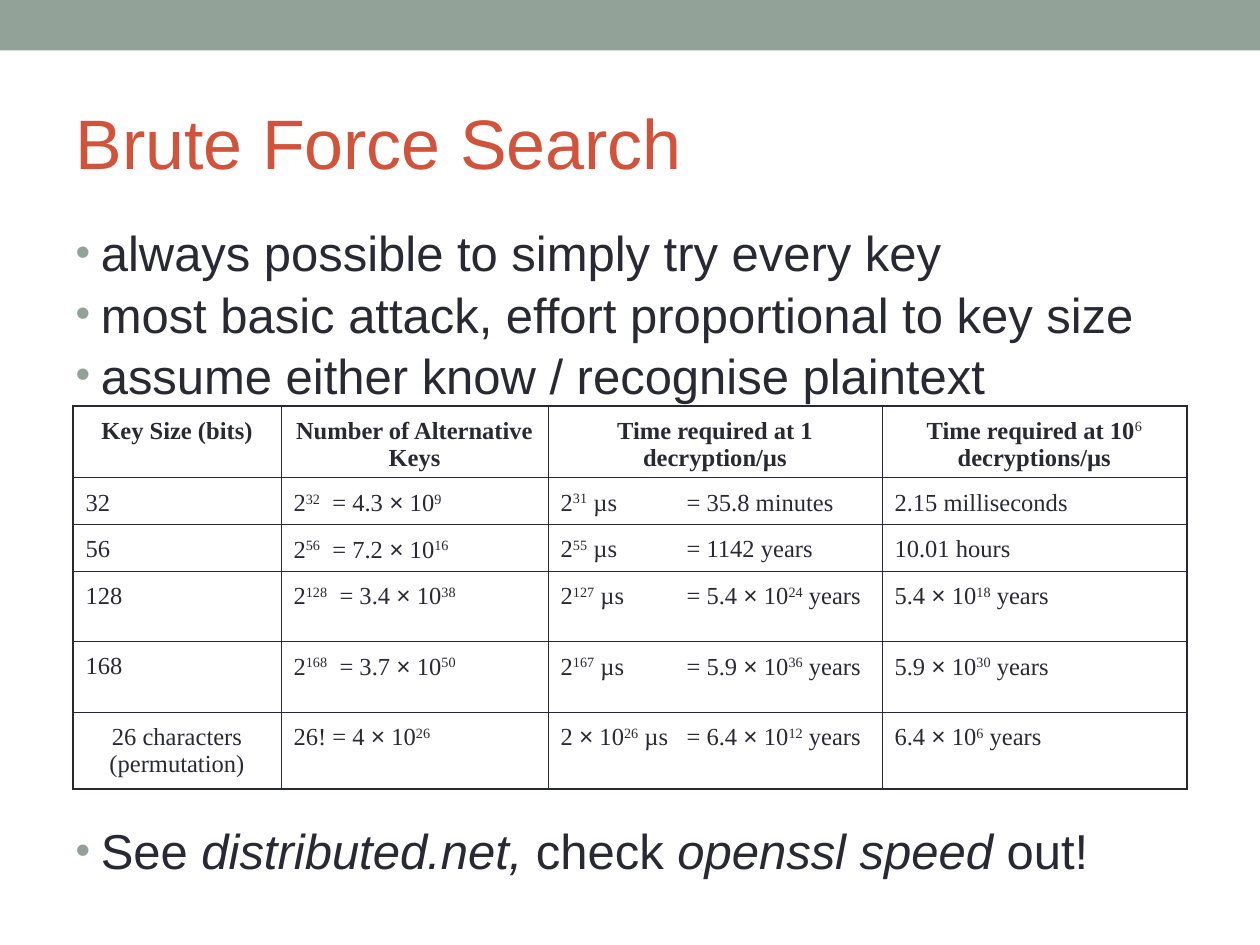
from dataclasses import dataclass
from itertools import groupby

from lxml.etree import SubElement
from pptx import Presentation
from pptx.dml.color import RGBColor
from pptx.enum.shapes import MSO_SHAPE
from pptx.enum.text import MSO_ANCHOR, MSO_AUTO_SIZE, PP_ALIGN
from pptx.oxml.ns import qn
from pptx.util import Inches, Pt

# The slide is a grid of 100 columns by 75 rows
COLUMNS, ROWS = 100, 75
SLIDE_WIDTH, SLIDE_HEIGHT = Inches(10), Inches(7.5)
SAGE, RUST, INK = "93A299", "D2533C", "292934"
SANS, SERIF = "Arial", "Times New Roman"
THIN, THICK = 0.45, 1.08


@dataclass(frozen=True)
class Area:
    column: float
    row: float
    columns: float
    rows: float

    def box(self) -> tuple:
        return (across(self.column), down(self.row),
                across(self.columns), down(self.rows))


@dataclass(frozen=True)
class Bullet:
    text: str  # *marks* italics
    space_before: float = 8


BAR = Area(0, 0, 100, 4)
TITLE = Area(5, 5.8, 90, 10.8)
BODY = Area(5, 17.8, 90, 53.8)
TABLE = Area(5.8, 32.2, 88.4, 30.4)

BULLETS = [
    Bullet("always possible to simply try every key", 0),
    Bullet("most basic attack, effort proportional to key size"),
    Bullet("assume either know / recognise plaintext"),
    Bullet("See *distributed.net, *check *openssl speed *out!", 245),
]

# ^marks^ superscripts
COLUMN_WIDTHS = [16.5, 21.2, 26.5, 24.2]
ROW_HEIGHTS = [5.7, 3.7, 3.7, 5.6, 5.6, 6.1]
CELLS = [
    ["Key Size (bits)", "Number of Alternative Keys",
     "Time required at 1 decryption/µs", "Time required at 10^6^ decryptions/µs"],
    ["32", "2^32^  = 4.3 × 10^9^", "2^31^ µs\t= 35.8 minutes", "2.15 milliseconds"],
    ["56", "2^56^  = 7.2 × 10^16^", "2^55^ µs\t= 1142 years", "10.01 hours"],
    ["128", "2^128^  = 3.4 × 10^38^", "2^127^ µs\t= 5.4 × 10^24^ years",
     "5.4 × 10^18^ years"],
    ["168", "2^168^  = 3.7 × 10^50^", "2^167^ µs\t= 5.9 × 10^36^ years",
     "5.9 × 10^30^ years"],
    ["26 characters (permutation)", "26! = 4 × 10^26^",
     "2 × 10^26^ µs\t= 6.4 × 10^12^ years", "6.4 × 10^6^ years"],
]


def across(columns: float) -> int:
    return round(SLIDE_WIDTH * columns / COLUMNS)


def down(rows: float) -> int:
    return round(SLIDE_HEIGHT * rows / ROWS)


def color(value: str) -> RGBColor:
    return RGBColor.from_string(value)


def set_font(paragraph, name: str, size: float, value: str, bold: bool = False) -> None:
    font = paragraph.font
    font.name, font.size, font.bold = name, Pt(size), bold
    font.color.rgb = color(value)


def place(shape, area: Area) -> None:
    shape.left, shape.top, shape.width, shape.height = area.box()


def add_bar(slide) -> None:
    bar = slide.shapes.add_shape(MSO_SHAPE.RECTANGLE, *BAR.box())
    bar.shadow.inherit = False
    bar.fill.solid()
    bar.fill.fore_color.rgb = color(SAGE)
    bar.line.fill.background()


def fill_title(slide) -> None:
    title = slide.shapes.title
    place(title, TITLE)
    frame = title.text_frame
    frame.text = "Brute Force Search"
    frame.auto_size = MSO_AUTO_SIZE.NONE
    frame.vertical_anchor = MSO_ANCHOR.MIDDLE
    frame.paragraphs[0].alignment = PP_ALIGN.LEFT
    set_font(frame.paragraphs[0], SANS, 40, RUST)


def add_bullet_mark(paragraph) -> None:
    properties = paragraph._p.get_or_add_pPr()
    properties.set("marL", str(Inches(0.2)))
    properties.set("indent", str(-Inches(0.2)))
    SubElement(SubElement(properties, qn("a:buClr")), qn("a:srgbClr"), val=SAGE)
    SubElement(properties, qn("a:buSzPct"), val="85000")
    SubElement(properties, qn("a:buFont"), typeface=SANS)
    SubElement(properties, qn("a:buChar"), char="•")


def fill_body(slide) -> None:
    body = slide.placeholders[1]
    place(body, BODY)
    frame = body.text_frame
    frame.auto_size = MSO_AUTO_SIZE.NONE
    frame.margin_top = Inches(0.08)
    for index, bullet in enumerate(BULLETS):
        paragraph = frame.add_paragraph() if index else frame.paragraphs[0]
        add_bullet_mark(paragraph)
        paragraph.line_spacing = 0.8
        paragraph.space_before = Pt(bullet.space_before)
        set_font(paragraph, SANS, 28, INK)
        for part, text in enumerate(bullet.text.split("*")):
            run = paragraph.add_run()
            run.text = text
            if part % 2:
                run.font.italic = True


def add_formula(paragraph, formula: str) -> None:
    for part, text in enumerate(formula.split("^")):
        for is_times, letters in groupby(text, lambda letter: letter == "×"):
            run = paragraph.add_run()
            run.text = "".join(letters)
            if is_times:
                run.font.name = SANS
            if part % 2:
                run.font.bold = False
                run._r.get_or_add_rPr().set("baseline", "30000")


def set_borders(cell, outer_sides: dict) -> None:
    properties = cell._tc.get_or_add_tcPr()
    for position, (side, is_outer) in enumerate(outer_sides.items()):
        line = properties.makeelement(qn(f"a:{side}"))
        line.set("w", str(Pt(THICK if is_outer else THIN)))
        SubElement(SubElement(line, qn("a:solidFill")), qn("a:srgbClr"), val=INK)
        properties.insert(position, line)


def fill_cell(cell, formula: str, centred: bool, header: bool) -> None:
    cell.fill.background()
    paragraph = cell.text_frame.paragraphs[0]
    paragraph.alignment = PP_ALIGN.CENTER if centred else PP_ALIGN.LEFT
    paragraph.space_before = Pt(0)
    paragraph.space_after = Pt(3)
    cell.margin_top = Inches(0.05) + Pt(3)
    tabs = SubElement(paragraph._p.get_or_add_pPr(), qn("a:tabLst"))
    SubElement(tabs, qn("a:tab"), pos=str(Inches(1)), algn="l")
    set_font(paragraph, SERIF, 14, INK, bold=header)
    add_formula(paragraph, formula)


def add_key_table(slide) -> None:
    last_row, last_column = len(ROW_HEIGHTS) - 1, len(COLUMN_WIDTHS) - 1
    table = slide.shapes.add_table(last_row + 1, last_column + 1, *TABLE.box()).table
    table.first_row = table.horz_banding = False
    for column, width in zip(table.columns, COLUMN_WIDTHS):
        column.width = across(width)
    for r, (height, formulas) in enumerate(zip(ROW_HEIGHTS, CELLS)):
        table.rows[r].height = down(height)
        for c, formula in enumerate(formulas):
            cell = table.cell(r, c)
            fill_cell(cell, formula, r == 0 or (r == last_row and c == 0), r == 0)
            set_borders(cell, {"lnL": c == 0, "lnR": c == last_column,
                               "lnT": r == 0, "lnB": r == last_row})


def main() -> None:
    presentation = Presentation()
    presentation.slide_width, presentation.slide_height = SLIDE_WIDTH, SLIDE_HEIGHT
    slide = presentation.slides.add_slide(presentation.slide_layouts[1])
    add_bar(slide)
    fill_title(slide)
    fill_body(slide)
    add_key_table(slide)
    presentation.save("out.pptx")


if __name__ == "__main__":
    main()
